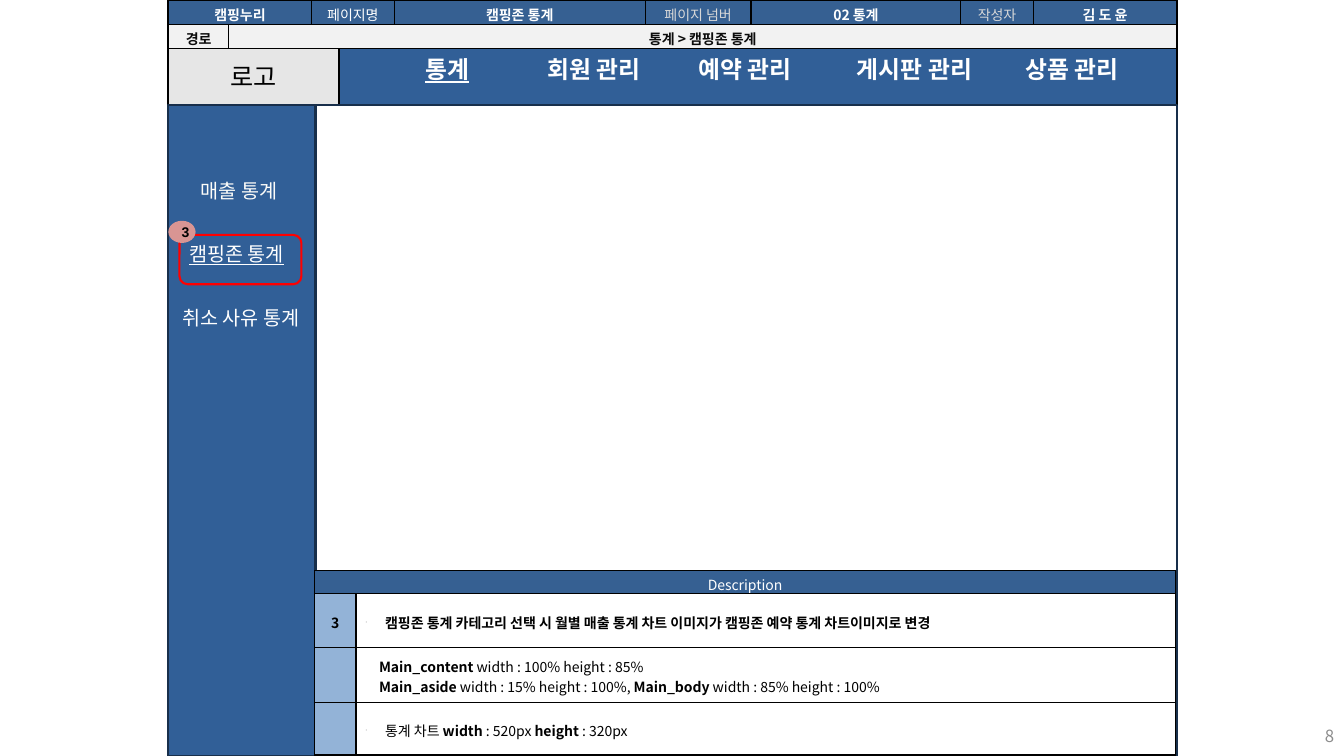
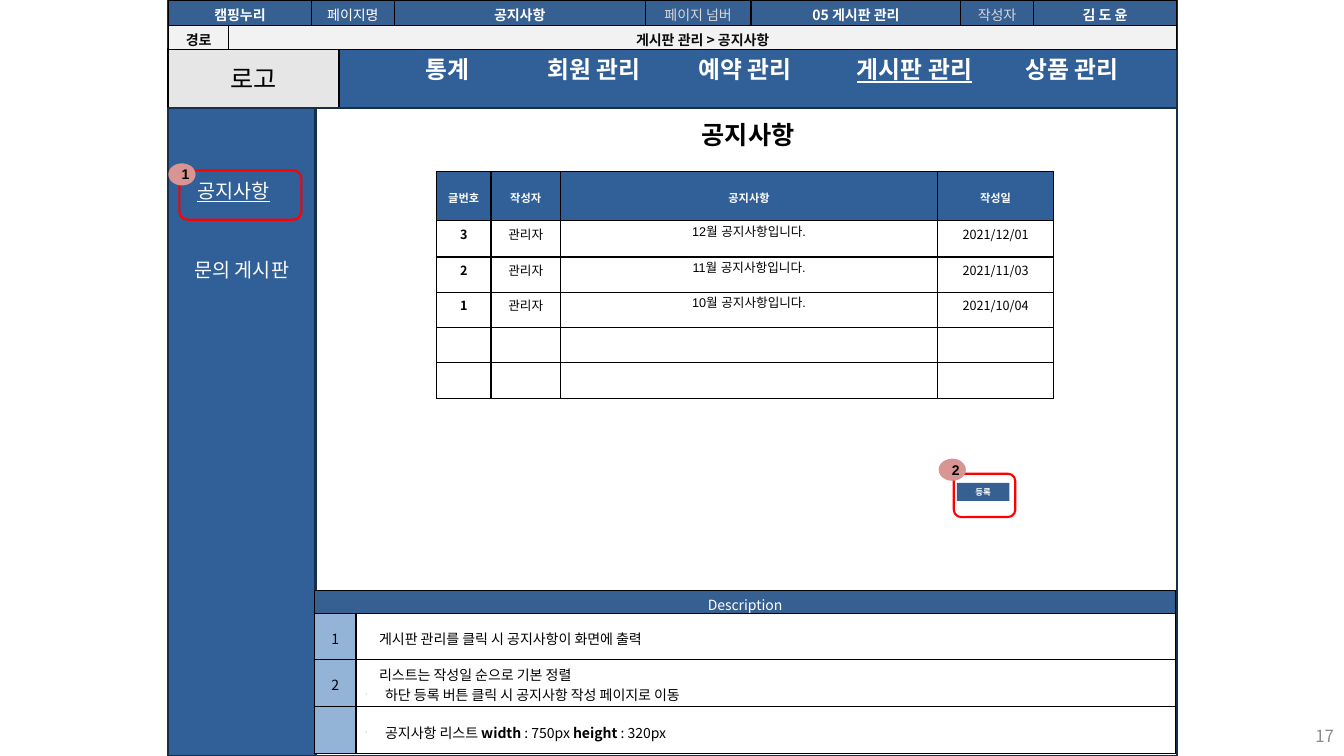
import pptx
import pptx.util
import pptx.dml.color
import pptx.enum.shapes
import pptx.enum.text
import pptx.oxml
import pptx.oxml.ns
import lxml.etree

Inches = pptx.util.Inches
SHAPE = pptx.enum.shapes.MSO_SHAPE
ALIGN = pptx.enum.text.PP_ALIGN
MIDDLE = pptx.enum.text.MSO_ANCHOR.MIDDLE
TOP = pptx.enum.text.MSO_ANCHOR.TOP
KOREAN = "Noto Sans CJK KR"
COLORS = {
    "band": "315F97", "head": "366092", "edge": "182F4B", "logo": "E6E6E6",
    "path": "F2F2F2", "number": "93B3D7", "marker": "D99593", "red": "FF0000",
    "black": "000000", "ink": "0C0C0C", "white": "FFFFFF", "aside": "FCFCF9",
    "label": "D8D8D8", "page": "8C8C8C",
}
COLOR = {name: pptx.dml.color.RGBColor.from_string(value) for name, value in COLORS.items()}

# Shared measures
LEFT, WIDTH, HEIGHT = 1.67, 10, 7.5
ASIDE_WIDTH = 1.46
BODY_LEFT = LEFT + ASIDE_WIDTH
HEADER_COLUMNS = [0.6, 0.82, 0.82, 2.49, 1.05, 2.08, 0.72, 1.42]
NAVIGATION = [("통계", 4.12, 0.67), ("회원 관리", 5.33, 1.18), ("예약 관리", 6.83, 1.19),
              ("게시판 관리", 8.4, 1.41), ("상품 관리", 10.07, 1.18)]

# What differs between the pages; *...* marks bold, a leading "- " a bullet
PAGES = [
    {
        "name": "캠핑존 통계", "section": "02 통계", "route": "통계 > 캠핑존 통계",
        "number": "8", "title": None, "menu": "통계",
        "header_rows": [0.24, 0.24], "band": 1.04, "band_line": "black",
        "aside": [("매출 통계", 1.89, 1.77, 1.01, "aside"),
                  ("캠핑존 통계", 1.78, 2.4, 1.2, "white"),
                  ("취소 사유 통계", 1.71, 3.03, 1.46, "white")],
        "callouts": [("3", (1.67, 2.19), (1.78, 2.33, 1.21, 0.49))],
        "button": None, "notices": None,
        "description_top": 5.66, "description_rows": [0.23, 0.53, 0.55, 0.52],
        "description": [
            ("*3*", ["- *캠핑존 통계 카테고리 선택 시 월별 매출 통계 차트 이미지가 "
                     "캠핑존 예약 통계 차트이미지로 변경*"]),
            ("", ["*Main_content* width : 100% height : 85%",
                  "*Main_aside* width : 15% height : 100%, "
                  "*Main_body* width : 85% height : 100%"]),
            ("", ["- 통계 차트 *width* : 520px *height* : 320px"]),
        ],
    },
    {
        "name": "공지사항", "section": "05 게시판 관리", "route": "게시판 관리 > 공지사항",
        "number": "17", "title": "공지사항", "menu": "게시판 관리",
        "header_rows": [0.25, 0.24], "band": 1.07, "band_line": "edge",
        "aside": [("공지사항", 1.86, 1.77, 0.96, "aside"),
                  ("문의 게시판", 1.83, 2.56, 1.2, "aside")],
        "callouts": [("1", (1.67, 1.62), (1.78, 1.69, 1.21, 0.49)),
                     ("2", (9.31, 4.55), (9.46, 4.7, 0.61, 0.43))],
        "button": "등록",
        "notices": [
            ["글번호", "작성자", "공지사항", "작성일"],
            ["3", "관리자", "12월 공지사항입니다.", "2021/12/01"],
            ["2", "관리자", "11월 공지사항입니다.", "2021/11/03"],
            ["1", "관리자", "10월 공지사항입니다.", "2021/10/04"],
            [""] * 4,
            [""] * 4,
        ],
        "description_top": 5.86, "description_rows": [0.23, 0.45, 0.47, 0.47],
        "description": [
            ("1", ["게시판 관리를 클릭 시 공지사항이 화면에 출력"]),
            ("2", ["리스트는 작성일 순으로 기본 정렬",
                   "- 하단 등록 버튼 클릭 시 공지사항 작성 페이지로 이동"]),
            ("", ["- 공지사항 리스트 *width* : 750px *height* : 320px"]),
        ],
    },
]


def write(frame, lines, size, color, bold=False, align=ALIGN.CENTER, font=KOREAN,
          underline=None, indent=0):
    for index, line in enumerate(lines):
        para = frame.paragraphs[0] if index == 0 else frame.add_paragraph()
        para.alignment = align
        properties = para._p.get_or_add_pPr()
        if line.startswith("- "):
            line = line[2:]
            properties.set("marL", str(Inches(0.19)))
            properties.set("indent", str(-Inches(0.19)))
            bullet_color = lxml.etree.SubElement(properties, pptx.oxml.ns.qn("a:buClr"))
            lxml.etree.SubElement(bullet_color, pptx.oxml.ns.qn("a:srgbClr"), val=COLORS["black"])
            lxml.etree.SubElement(properties, pptx.oxml.ns.qn("a:buSzPct"), val="25000")
            lxml.etree.SubElement(properties, pptx.oxml.ns.qn("a:buChar"), char="-")
        elif indent:
            properties.set("marL", str(Inches(indent)))
            properties.set("indent", "0")
        para.font.size = pptx.util.Pt(size)
        para.font.bold = bold
        para.font.underline = underline
        para.font.color.rgb = COLOR[color]
        para.font.name = font
        defaults = properties.find(pptx.oxml.ns.qn("a:defRPr"))
        lxml.etree.SubElement(defaults, pptx.oxml.ns.qn("a:ea"), typeface=font)
        for position, text in enumerate(line.split("*")):
            if text:
                span = para.add_run()
                span.text = text
                if position % 2:
                    span.font.bold = True


def add_grid(page, left, top, columns, rows, margin):
    table = page.shapes.add_table(len(rows), len(columns), Inches(left), Inches(top),
                                  Inches(sum(columns)), Inches(sum(rows))).table
    table.first_row = table.horz_banding = False
    for column, width in zip(table.columns, columns):
        column.width = Inches(width)
    for row, height in zip(table.rows, rows):
        row.height = Inches(height)
    for cell in table.iter_cells():
        cell.margin_left = cell.margin_right = Inches(margin)
        cell.margin_top, cell.margin_bottom = Inches(0.04), 0
        cell.vertical_anchor = MIDDLE
        for side in ("lnL", "lnR", "lnT", "lnB"):
            border = lxml.etree.SubElement(cell._tc.get_or_add_tcPr(),
                                           pptx.oxml.ns.qn("a:" + side), w="12700")
            fill = lxml.etree.SubElement(border, pptx.oxml.ns.qn("a:solidFill"))
            lxml.etree.SubElement(fill, pptx.oxml.ns.qn("a:srgbClr"), val=COLORS["black"])
    return table


deck = pptx.Presentation()
deck.slide_width, deck.slide_height = Inches(13.33), Inches(HEIGHT)

for content in PAGES:
    page = deck.slides.add_slide(deck.slide_layouts[5 if content["title"] else 6])
    band = content["band"]
    header_height = sum(content["header_rows"])

    # Frame, menu band, logo, side menu and body, then callouts and button
    boxes = [
        (SHAPE.RECTANGLE, (LEFT, 0, WIDTH, HEIGHT), None, "edge", None),
        (SHAPE.RECTANGLE, (LEFT, 0, WIDTH, band), "band", content["band_line"], None),
        (SHAPE.RECTANGLE, (LEFT, header_height, 1.69, band - header_height), "logo", "black",
         ("로고", 18, "black", False, KOREAN)),
        (SHAPE.RECTANGLE, (LEFT, band, ASIDE_WIDTH, HEIGHT - band), "band", "edge", None),
        (SHAPE.RECTANGLE, (BODY_LEFT, band, WIDTH - ASIDE_WIDTH, HEIGHT - band),
         None, "edge", None),
    ]
    for number, (left, top), area in content["callouts"]:
        boxes.append((SHAPE.ROUNDED_RECTANGLE, area, None, "red", None))
        boxes.append((SHAPE.OVAL, (left, top, 0.27, 0.22), "marker", None,
                      (number, 10, "black", True, "Arial")))
    if content["button"]:
        boxes.append((SHAPE.RECTANGLE, (9.49, 4.79, 0.52, 0.18), "head", None,
                      (content["button"], 6, "white", True, "Arial")))
    for kind, area, fill, line, label in boxes:
        box = page.shapes.add_shape(kind, *map(Inches, area))
        box.shadow.inherit = False
        if fill:
            box.fill.solid()
            box.fill.fore_color.rgb = COLOR[fill]
        else:
            box.fill.background()
        if line:
            box.line.color.rgb = COLOR[line]
            box.line.width = pptx.util.Pt(1.5)
        else:
            box.line.fill.background()
        if label:
            text, size, color, bold, font = label
            box.text_frame.vertical_anchor = MIDDLE
            write(box.text_frame, [text], size, color, bold, font=font)

    # Menu labels, the current one underlined
    current = (content["menu"], content["name"])
    labels = [(text, left, 0.54, width, 0.39, 17, "white", True)
              for text, left, width in NAVIGATION]
    labels += [(text, left, top, width, 0.32, 14, color, False)
               for text, left, top, width, color in content["aside"]]
    for text, left, top, width, height, size, color, bold in labels:
        box = page.shapes.add_textbox(*map(Inches, (left, top, width, height)))
        box.text_frame.word_wrap = False
        box.text_frame.margin_top = box.text_frame.margin_bottom = 0
        write(box.text_frame, [text], size, color, bold, ALIGN.LEFT,
              underline=True if text in current else None)

    # Title
    if content["title"]:
        title = page.shapes.title
        title.left, title.top, title.width, title.height = map(Inches, (6.4, 1.18, 2.04, 0.4))
        title.text_frame.auto_size = pptx.enum.text.MSO_AUTO_SIZE.NONE
        title.text_frame.vertical_anchor = TOP
        title.text_frame.margin_top = title.text_frame.margin_bottom = 0
        write(title.text_frame, [content["title"]], 18, "black", True)

    # Notice list
    if content["notices"]:
        notices = add_grid(page, 4.33, 1.7, [0.54, 0.69, 3.74, 1.15],
                           [0.49, 0.36] + [0.35] * 4, 0.1)
        for row, values in enumerate(content["notices"]):
            for column, value in enumerate(values):
                cell = notices.cell(row, column)
                if row == 0:
                    cell.fill.solid()
                    cell.fill.fore_color.rgb = COLOR["band"]
                    write(cell.text_frame, [value], 8, "white", True)
                else:
                    cell.fill.background()
                    cell.vertical_anchor = TOP
                    write(cell.text_frame, [value], 9, "black", column == 0,
                          font="Arial" if column == 2 else KOREAN)

    # Description table
    description = add_grid(page, 3.12, content["description_top"], [0.41, 8.13],
                           content["description_rows"], 0.1)
    description.cell(0, 0).merge(description.cell(0, 1))
    for cell in description.iter_cells():
        cell.fill.solid()
        cell.fill.fore_color.rgb = COLOR["head"]
    write(description.cell(0, 0).text_frame, ["Description"], 10, "white")
    for row, (number, lines) in enumerate(content["description"], 1):
        number_cell, text_cell = description.cell(row, 0), description.cell(row, 1)
        number_cell.fill.fore_color.rgb = COLOR["number"]
        text_cell.fill.fore_color.rgb = COLOR["white"]
        write(number_cell.text_frame, [number], 10, "black")
        write(text_cell.text_frame, lines, 10, "black", align=ALIGN.LEFT, indent=0.13)

    # Header table
    header = add_grid(page, LEFT, 0, HEADER_COLUMNS, content["header_rows"], 0.09)
    header.cell(0, 0).merge(header.cell(0, 1))
    header.cell(1, 1).merge(header.cell(1, 7))
    for index, cell in enumerate(header.iter_cells()):
        cell.fill.solid()
        cell.fill.fore_color.rgb = COLOR["head" if index < len(HEADER_COLUMNS) else "path"]
    header_texts = [
        (0, 0, "캠핑누리", "white", True), (0, 2, "페이지명", "white", False),
        (0, 3, content["name"], "white", True), (0, 4, "페이지 넘버", "label", False),
        (0, 5, content["section"], "white", True), (0, 6, "작성자", "label", False),
        (0, 7, "김 도 윤", "white", True),
        (1, 0, "경로", "ink", True), (1, 1, content["route"], "ink", True),
    ]
    for row, column, text, color, bold in header_texts:
        write(header.cell(row, column).text_frame, [text], 10, color, bold)

    # Page number
    box = page.shapes.add_textbox(*map(Inches, (10.22, 7.1, 3.11, 0.4)))
    box.text_frame.word_wrap = True
    box.text_frame.vertical_anchor = MIDDLE
    write(box.text_frame, [content["number"]], 12, "page", align=ALIGN.RIGHT)

deck.save("out.pptx")
